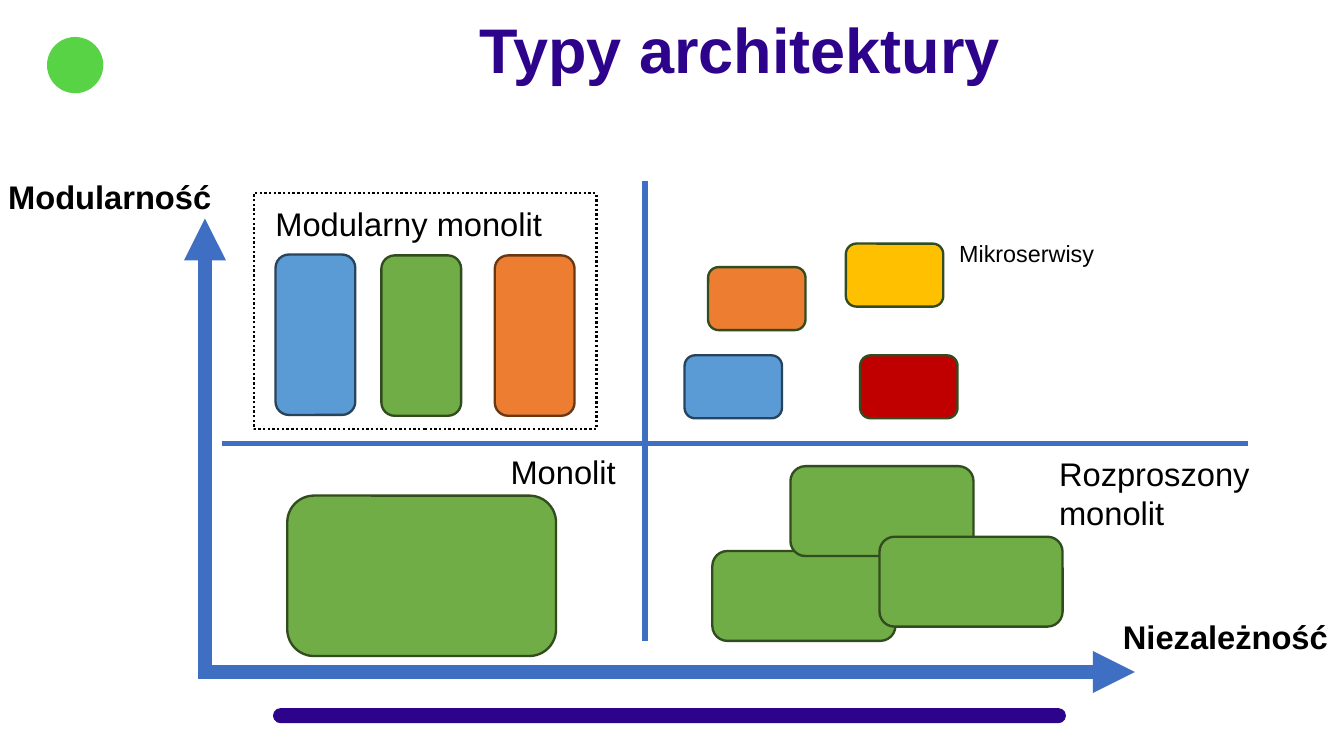
import pptx
import pptx.util
import pptx.dml.color
import pptx.enum.dml
import pptx.enum.shapes
import pptx.enum.text
import pptx.oxml.ns
import lxml.etree

theme = {
    "font": "Arial", "title": 54, "label": 28, "small": 20,
    "navy": "2E038C", "logo": "58D346", "axis": "3F6FC3", "black": "000000",
    "blue": "5B9BD5", "green": "70AD47", "orange": "ED7D31",
    "gold": "FFC000", "red": "C00000",
    "blue edge": "28445D", "green edge": "314C1F", "orange edge": "683715",
}
kinds = pptx.enum.shapes.MSO_SHAPE
rgb = pptx.dml.color.RGBColor.from_string

# Slide on a grid of 16 columns by 9 rows
deck = pptx.Presentation()
deck.slide_width = pptx.util.Inches(16)
deck.slide_height = pptx.util.Inches(9)
cell = deck.slide_width / 16
slide = deck.slides.add_slide(deck.slide_layouts[6])


def write(text, x, y, w, h, size="label", color="black", bold=False):
    area = slide.shapes.add_textbox(*[int(v * cell) for v in (x, y, w, h)])
    frame = area.text_frame
    frame.word_wrap = True
    frame.auto_size = pptx.enum.text.MSO_AUTO_SIZE.SHAPE_TO_FIT_TEXT
    run = frame.paragraphs[0].add_run()
    run.text = text
    run.font.name = theme["font"]
    run.font.size = pptx.util.Pt(theme[size])
    run.font.bold = bold
    run.font.color.rgb = rgb(theme[color])


def block(x, y, w, h, fill=None, edge=None, kind=kinds.ROUNDED_RECTANGLE):
    shape = slide.shapes.add_shape(kind, *[int(v * cell) for v in (x, y, w, h)])
    shape.shadow.inherit = False
    if fill:
        shape.fill.solid()
        shape.fill.fore_color.rgb = rgb(theme[fill])
    else:
        shape.fill.background()
    if edge:
        shape.line.color.rgb = rgb(theme[edge])
        shape.line.width = pptx.util.Pt(2)
    else:
        shape.line.fill.background()
    return shape


# Footer bar, plain logo disc and title
bar = block(3.25, 8.43, 9.44, 0.18, "navy")
bar.adjustments[0] = 0.5
block(0.56, 0.44, 0.67, 0.67, "logo", kind=kinds.OVAL)
write("Typy architektury", 5.61, 0.07, 6.81, 1.01, "title", "navy", True)

# Axes with arrowheads, then quadrant dividers
for x1, y1, x2, y2, width, arrow in [
    (2.44, 8, 2.44, 2.6, 12, True),
    (2.36, 8, 13.51, 8, 12, True),
    (7.68, 7.63, 7.68, 2.15, 5, False),
    (14.86, 5.28, 2.64, 5.28, 5, False),
]:
    line = slide.shapes.add_connector(
        pptx.enum.shapes.MSO_CONNECTOR.STRAIGHT,
        *[int(v * cell) for v in (x1, y1, x2, y2)])
    line.line.color.rgb = rgb(theme["axis"])
    line.line.width = pptx.util.Pt(width)
    if arrow:
        lxml.etree.SubElement(line.line._get_or_add_ln(),
                              pptx.oxml.ns.qn("a:tailEnd"), type="triangle")
    lxml.etree.SubElement(line._element.spPr, pptx.oxml.ns.qn("a:effectLst"))

write("Modularność", 0, 2.06, 2.73, 0.57, bold=True)
write("Niezależność", 13.27, 7.3, 2.73, 0.57, bold=True)

# Monolith
block(3.42, 5.9, 3.2, 1.91, "green", "green edge")
write("Monolit", 5.98, 5.33, 1.71, 0.57)

# Microservices
for x, y, fill, edge in [
    (8.43, 3.18, "orange", "green edge"),
    (10.07, 2.9, "gold", "green edge"),
    (8.15, 4.23, "blue", "blue edge"),
    (10.24, 4.23, "red", "green edge"),
]:
    block(x, y, 1.16, 0.75, fill, edge)
write("Mikroserwisy", 11.32, 2.8, 1.84, 0.44, "small")

# Modular monolith inside a dotted frame
for x, y, fill in [(3.28, 3.03, "blue"), (4.54, 3.04, "green"),
                   (5.89, 3.04, "orange")]:
    block(x, y, 0.95, 1.91, fill, fill + " edge")
frame = block(3.02, 2.3, 4.08, 2.81, edge="black", kind=kinds.RECTANGLE)
frame.line.dash_style = pptx.enum.dml.MSO_LINE.ROUND_DOT
write("Modularny monolit", 3.18, 2.38, 3.66, 0.57)

# Distributed monolith
for x, y in [(8.48, 6.56), (9.41, 5.55), (10.47, 6.39)]:
    block(x, y, 2.18, 1.07, "green", "green edge")
write("Rozproszony monolit", 12.51, 5.35, 2.93, 1.04)

deck.save("out.pptx")
